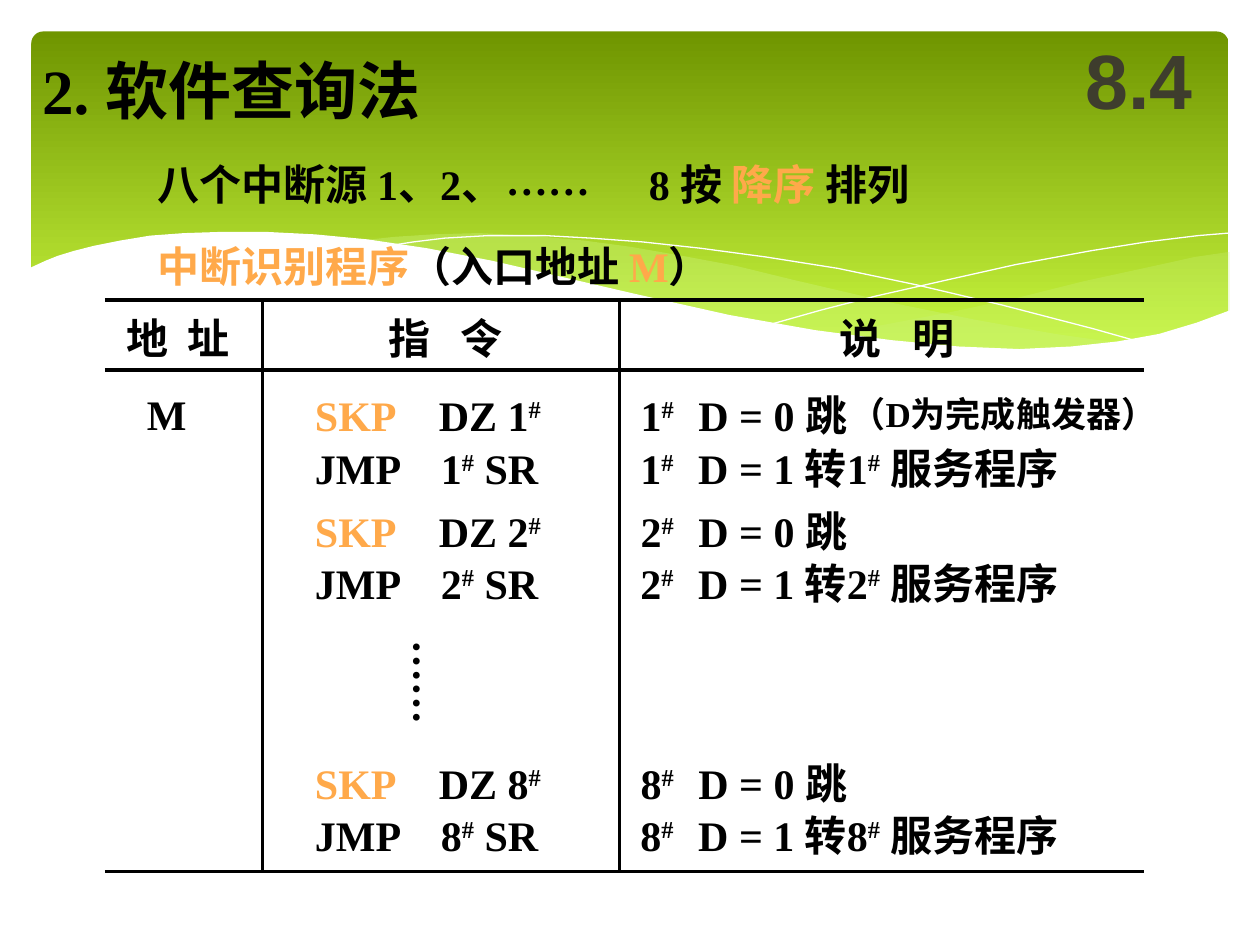
import pptx
import pptx.util
import pptx.dml.color
import pptx.enum.shapes
import pptx.enum.text
import lxml.etree
import pptx.oxml.ns

RGB = pptx.dml.color.RGBColor
BLACK = RGB(0x00, 0x00, 0x00)
WHITE = RGB(0xFF, 0xFF, 0xFF)
ORANGE = RGB(0xFF, 0xA9, 0x4A)
DARK = RGB(0x3E, 0x3D, 0x2D)
GREEN = RGB(0x6F, 0x95, 0x00)
LIME = RGB(0xD0, 0xFF, 0x44)
PALE = RGB(0xCA, 0xF2, 0x78)
qn = pptx.oxml.ns.qn

prs = pptx.Presentation()
prs.slide_width = pptx.util.Inches(10)
prs.slide_height = pptx.util.Inches(7.5)
CELL = prs.slide_width // 120
s = prs.slides.add_slide(prs.slide_layouts[5])


def wave(points, fill=None, opacity=100):
    fb = s.shapes.build_freeform(*points[0], scale=prs.slide_width / 1000)
    fb.add_line_segments(points[1:], close=fill is not None)
    sp = fb.convert_to_shape()
    sp.shadow.inherit = False
    if fill is None:
        sp.fill.background()
        sp.line.color.rgb = WHITE
        sp.line.width = 0
        return
    sp.line.fill.background()
    sp.fill.solid()
    sp.fill.fore_color.rgb = fill
    if opacity < 100:
        clr = sp.element.spPr.find(".//" + qn("a:srgbClr"))
        lxml.etree.SubElement(clr, qn("a:alpha")).set("val", str(opacity * 1000))


def write(col, row, cols, rows, runs, tab=None, size=24, font="Times New Roman",
          inset=(0, 0), sp=None):
    sp = sp or s.shapes.add_textbox(0, 0, 0, 0)
    sp.left, sp.top, sp.width, sp.height = [int(v * CELL) for v in (col, row, cols, rows)]
    tf = sp.text_frame
    tf.word_wrap = False
    tf.auto_size = pptx.enum.text.MSO_AUTO_SIZE.NONE
    tf.vertical_anchor = pptx.enum.text.MSO_ANCHOR.MIDDLE
    tf.margin_left = tf.margin_right = pptx.util.Inches(inset[0])
    tf.margin_top = tf.margin_bottom = pptx.util.Inches(inset[1])
    p = tf.paragraphs[0]
    p.alignment = pptx.enum.text.PP_ALIGN.LEFT
    if tab:
        tabs = lxml.etree.SubElement(p._p.get_or_add_pPr(), qn("a:tabLst"))
        lxml.etree.SubElement(tabs, qn("a:tab"), pos=str(int(tab * CELL)), algn="l")
    for text, color in runs:
        r = p.add_run()
        r.text = text
        r.font.size = pptx.util.Pt(size)
        r.font.name = font
        r.font.bold = True
        r.font.color.rgb = color
        if text == "#":
            r._r.get_or_add_rPr().set("baseline", "30000")
    return sp


panel = s.shapes.add_shape(pptx.enum.shapes.MSO_SHAPE.ROUNDED_RECTANGLE,
                           3 * CELL, 3 * CELL, 114 * CELL, int(32.4 * CELL))
panel.adjustments[0] = 0.034
panel.shadow.inherit = False
panel.line.fill.background()
panel.fill.gradient()
panel.fill.gradient_angle = 270
for stop, position, color in zip(panel.fill.gradient_stops, (0, 1), (GREEN, LIME)):
    stop.position = position
    stop.color.rgb = color

wave([(975, 200), (948, 204), (921, 210), (861, 223), (805, 237), (753, 248), (706, 257),
      (661, 265), (691, 269), (732, 273), (769, 276), (803, 278), (844, 277), (881, 273),
      (913, 267), (942, 259), (976, 247), (976, 200)], PALE, 29)
wave([(893, 273), (837, 265), (775, 254), (706, 240), (629, 222), (584, 211), (541, 203),
      (501, 196), (464, 191), (420, 187), (380, 185), (344, 186), (313, 188), (286, 191),
      (323, 196), (362, 203), (404, 211), (449, 222), (530, 240), (601, 255), (650, 264),
      (695, 270), (736, 275), (785, 278), (828, 278), (867, 276), (893, 273)], PALE, 40)
wave([(309, 195), (328, 192), (353, 189), (387, 187), (433, 187), (469, 189), (510, 192),
      (556, 197), (608, 204), (665, 213), (727, 226), (795, 242), (868, 261), (907, 272)])
wave([(613, 257), (652, 246), (695, 235), (748, 223), (806, 210), (866, 199), (910, 192),
      (951, 187), (975, 185)])
wave([(977, 246), (950, 256), (920, 265), (887, 271), (850, 275), (809, 277), (761, 275),
      (708, 270), (647, 262), (579, 250), (503, 233), (447, 220), (391, 207), (339, 197),
      (292, 190), (250, 186), (211, 184), (176, 184), (146, 185), (119, 187), (95, 191),
      (75, 195), (59, 199), (46, 203), (36, 207), (23, 213), (23, 329), (977, 329)], WHITE)

title = s.shapes.title
title.element.getparent().append(title.element)
write(4, 5, 51, 7, [("2. 软件查询法", BLACK)], size=36, inset=(0, 0.05), sp=title)
sp = write(101, 2, 15, 11, [("8.4", DARK)], size=44, font="Arial", inset=(0.1, 0.05))
sp.text_frame.word_wrap = True
sp.text_frame.paragraphs[0].alignment = pptx.enum.text.PP_ALIGN.CENTER

write(15, 14, 68, 7, [("八个中断源 1、2、\t8 按 ", BLACK), ("降序 ", ORANGE), ("排列", BLACK)],
      tab=46.8, inset=(0, 0.05))
write(47, 14, 10.3, 6, [("……", BLACK)], inset=(0.1, 0.05))
write(15, 22, 33, 6.6, [("中断识别程序", ORANGE), ("（入口地址 ", BLACK), ("M", ORANGE),
                        ("）", BLACK)], inset=(0, 0.05))

top, header, bottom = 28.6, 35.2, 83
rules = [(10, y, 109, y) for y in (top, header, bottom)]
rules += [(x, top, x, bottom) for x in (25, 59)]
for rule in rules:
    line = s.shapes.add_connector(pptx.enum.shapes.MSO_CONNECTOR.STRAIGHT,
                                  *[int(v * CELL) for v in rule])
    line.line.color.rgb = BLACK
    line.line.width = pptx.util.Pt(2.25)
    lxml.etree.SubElement(line.element.spPr, qn("a:effectLst"))

for col, cols, text, tab in ((12, 14, "地\t址", 5.9), (37, 17, "指\t令", 6.9),
                             (80, 16, "说\t明", 6.9)):
    write(col, 29.5, cols, 5.3, [(text, BLACK)], tab=tab)

write(14, 37, 8, 4.7, [("M", BLACK)])
for n, row in (("1", 37), ("2", 48), ("8", 72)):
    mark = ("#", BLACK)
    write(30, row, 25, 5, [("SKP", ORANGE), ("\tDZ " + n, BLACK), mark], tab=11.8)
    write(30, row + 5, 25, 5, [("JMP\t" + n, BLACK), mark, (" SR", BLACK)], tab=12)
    write(61, row, 28, 5, [(n, BLACK), mark, ("\tD = 0 跳", BLACK)], tab=5.5)
    write(61, row + 5, 43, 5, [(n, BLACK), mark, ("\tD = 1 转" + n, BLACK), mark,
                               (" 服务程序", BLACK)], tab=5.5)
write(81, 36.4, 43, 6, [("（D为完成触发器）", BLACK)], size=20)

sp = write(36.8, 59.8, 7.2, 9.2, [("……", BLACK)], inset=(0.05, 0.1))
sp.text_frame.vertical_anchor = pptx.enum.text.MSO_ANCHOR.TOP
sp.text_frame._txBody.bodyPr.set("vert", "eaVert")

prs.save("out.pptx")
